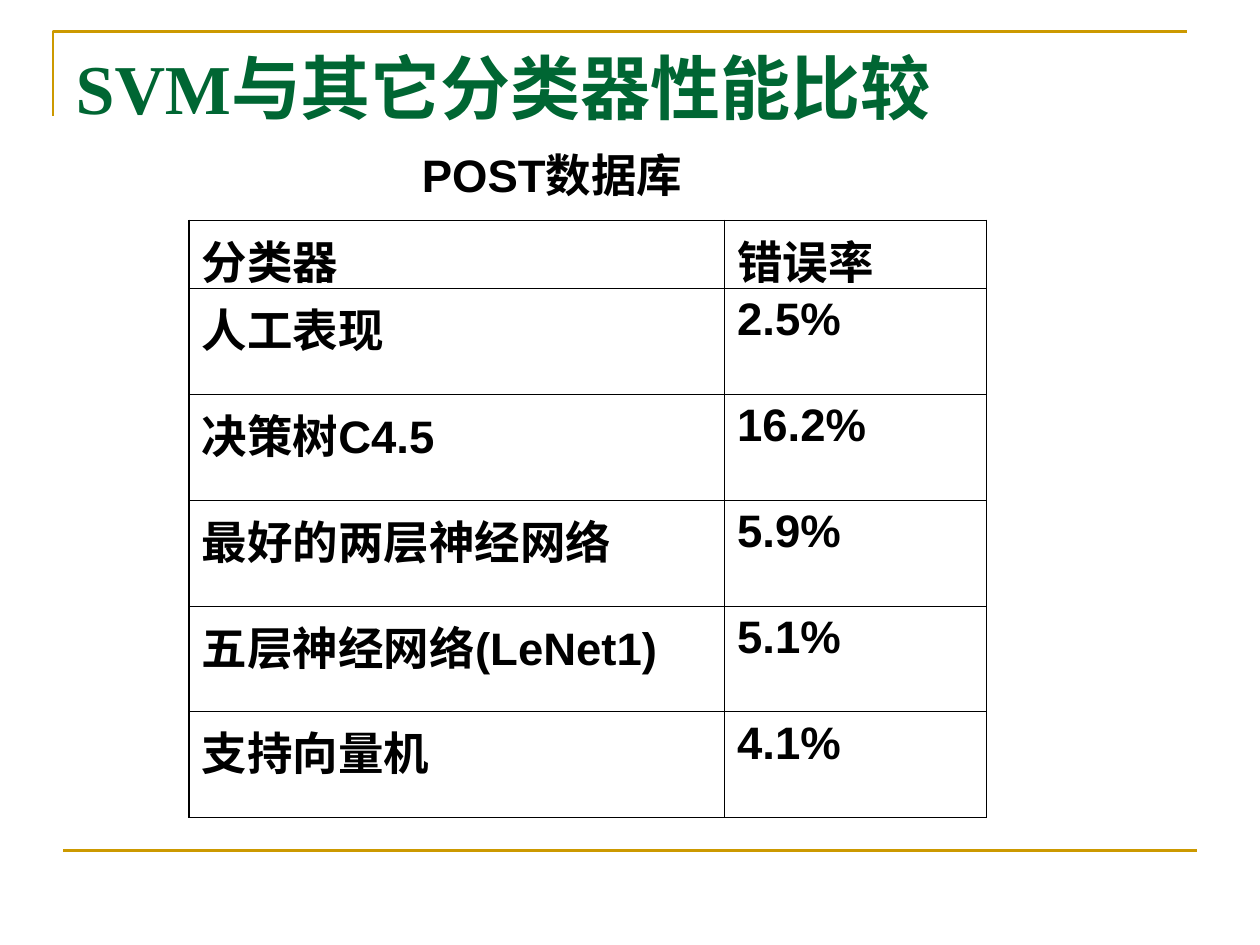
"""Build a slide comparing the error rates of classifiers."""
import pptx
import pptx.util
import pptx.dml.color
import pptx.enum.shapes
import pptx.enum.text
import pptx.oxml
import pptx.oxml.ns

Inches, Pt = pptx.util.Inches, pptx.util.Pt
RGB = pptx.dml.color.RGBColor
GOLD = RGB(0xCC, 0x99, 0x00)
GREEN = RGB(0x00, 0x66, 0x33)
BLACK = RGB(0, 0, 0)

TITLE = "SVM与其它分类器性能比较"
LABEL = "POST数据库"
ROWS = [
    ("分类器", "错误率"),
    ("人工表现", "2.5%"),
    ("决策树C4.5", "16.2%"),
    ("最好的两层神经网络", "5.9%"),
    ("五层神经网络(LeNet1)", "5.1%"),
    ("支持向量机", "4.1%"),
]
WIDTHS = [4.25, 2.08]
HEIGHTS = [0.54] + [0.84] * (len(ROWS) - 1)
THICK, THIN = 1.08, 0.45


def place(shape, left, top, width, height):
    """Set the position and size of a shape."""
    shape.left, shape.top = Inches(left), Inches(top)
    shape.width, shape.height = Inches(width), Inches(height)


def style(para, size, color, name="Arial"):
    """Set the font of a paragraph."""
    font = para.font
    font.size, font.name, font.bold = Pt(size), name, True
    font.color.rgb = color


def border(cell, sides):
    """Draw the cell borders from pairs of side and width."""
    props = cell._tc.get_or_add_tcPr()
    for at, (side, width) in enumerate(sides):
        props.insert(at, pptx.oxml.parse_xml(
            f'<a:ln{side} {pptx.oxml.ns.nsdecls("a")} w="{Pt(width)}">'
            f'<a:solidFill><a:srgbClr val="{BLACK}"/></a:solidFill></a:ln{side}>'))


deck = pptx.Presentation()
deck.slide_width, deck.slide_height = Inches(10), Inches(7.5)
slide = deck.slides.add_slide(deck.slide_layouts[5])
shapes = slide.shapes

pen = shapes.build_freeform(Inches(0.42), Inches(0.92))
pen.add_line_segments(
    [(Inches(0.42), Inches(0.25)), (Inches(9.42), Inches(0.25))], close=False)
frame = pen.convert_to_shape()
frame.fill.background()
frame.shadow.inherit = False
rule = shapes.add_connector(
    pptx.enum.shapes.MSO_CONNECTOR.STRAIGHT,
    Inches(0.5), Inches(6.75), Inches(9.5), Inches(6.75))
rule._element.spPr.append(
    pptx.oxml.parse_xml(f'<a:effectLst {pptx.oxml.ns.nsdecls("a")}/>'))
for line in (frame.line, rule.line):
    line.color.rgb, line.width = GOLD, Pt(1.5)

title = shapes.title
place(title, 0.5, 0.3, 9, 0.77)
title.text_frame.text = TITLE
title.text_frame.auto_size = pptx.enum.text.MSO_AUTO_SIZE.NONE
title.text_frame.vertical_anchor = pptx.enum.text.MSO_ANCHOR.MIDDLE
head = title.text_frame.paragraphs[0]
head.alignment = pptx.enum.text.PP_ALIGN.LEFT
style(head, 40, GREEN, "Times New Roman")

label = shapes.add_textbox(Inches(3.25), Inches(1.17), Inches(2.42), Inches(0.5))
label.text_frame.word_wrap = True
label.text_frame.text = LABEL
para = label.text_frame.paragraphs[0]
para.line_spacing, para.space_before = 0.9, Pt(6.5)
style(para, 26, BLACK)

table = shapes.add_table(
    len(ROWS), len(WIDTHS), Inches(1.5), Inches(1.75),
    Inches(sum(WIDTHS)), Inches(sum(HEIGHTS))).table
table.first_row = table.horz_banding = False
for col, width in zip(table.columns, WIDTHS):
    col.width = Inches(width)
for row, height in zip(table.rows, HEIGHTS):
    row.height = Inches(height)
for r, texts in enumerate(ROWS):
    for c, text in enumerate(texts):
        cell = table.cell(r, c)
        cell.text = text
        cell.fill.background()
        para = cell.text_frame.paragraphs[0]
        para.space_before = Pt(6.5)
        style(para, 26, BLACK)
        outer = {"L": c == 0, "R": c == len(WIDTHS) - 1,
                 "T": r == 0, "B": r == len(ROWS) - 1}
        border(cell, [(side, THICK if edge else THIN)
                      for side, edge in outer.items()])

deck.save("out.pptx")
